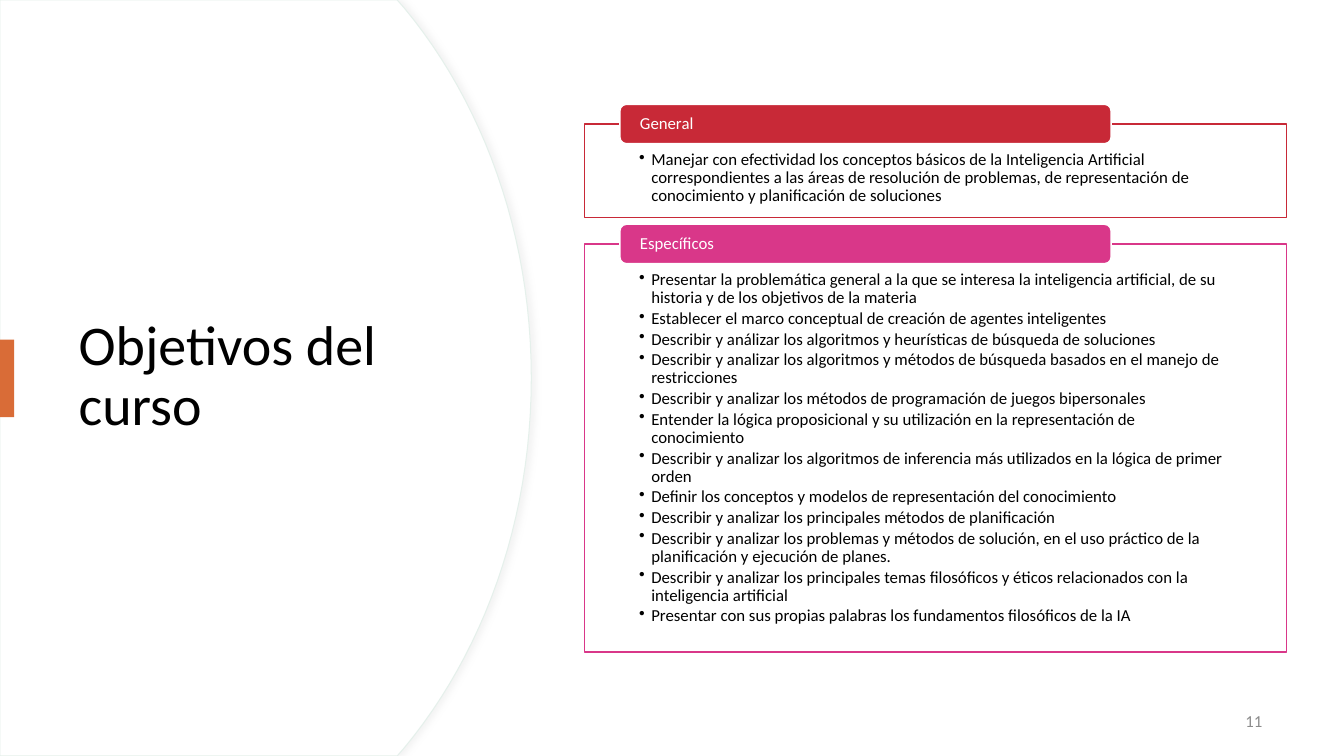
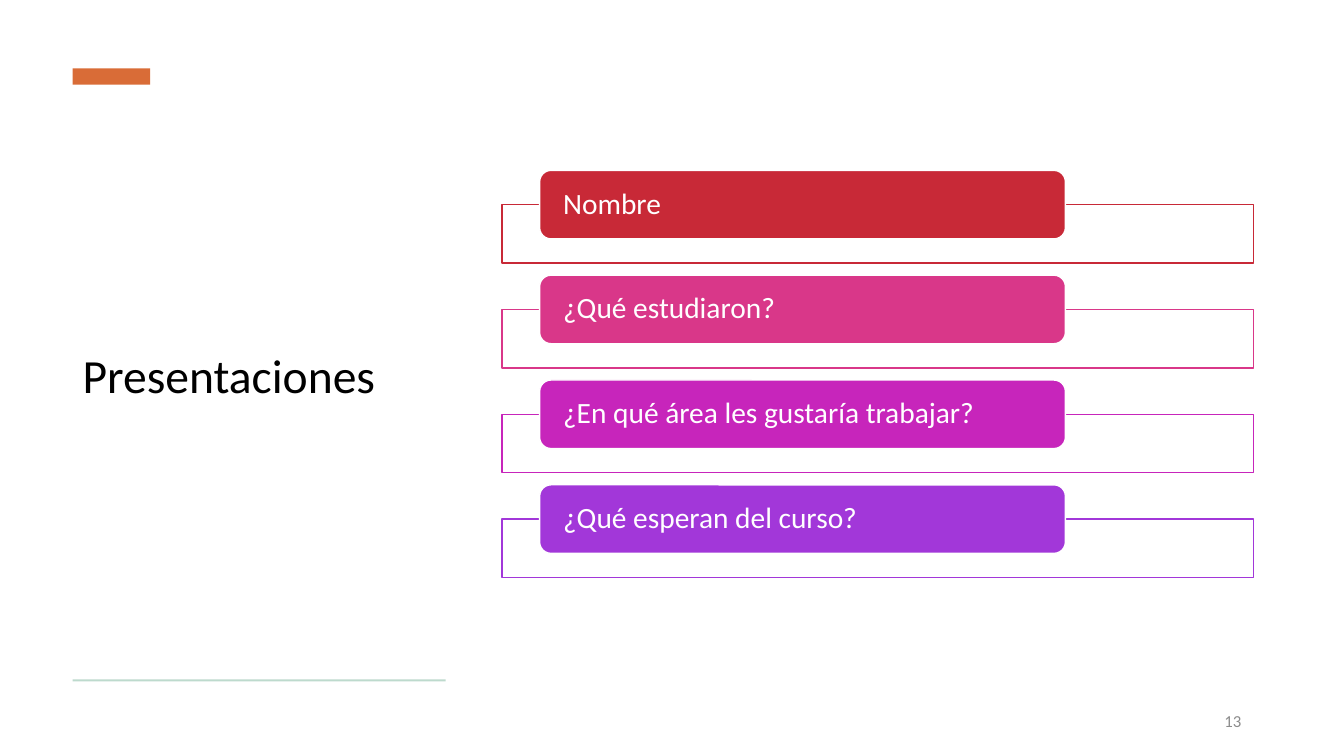
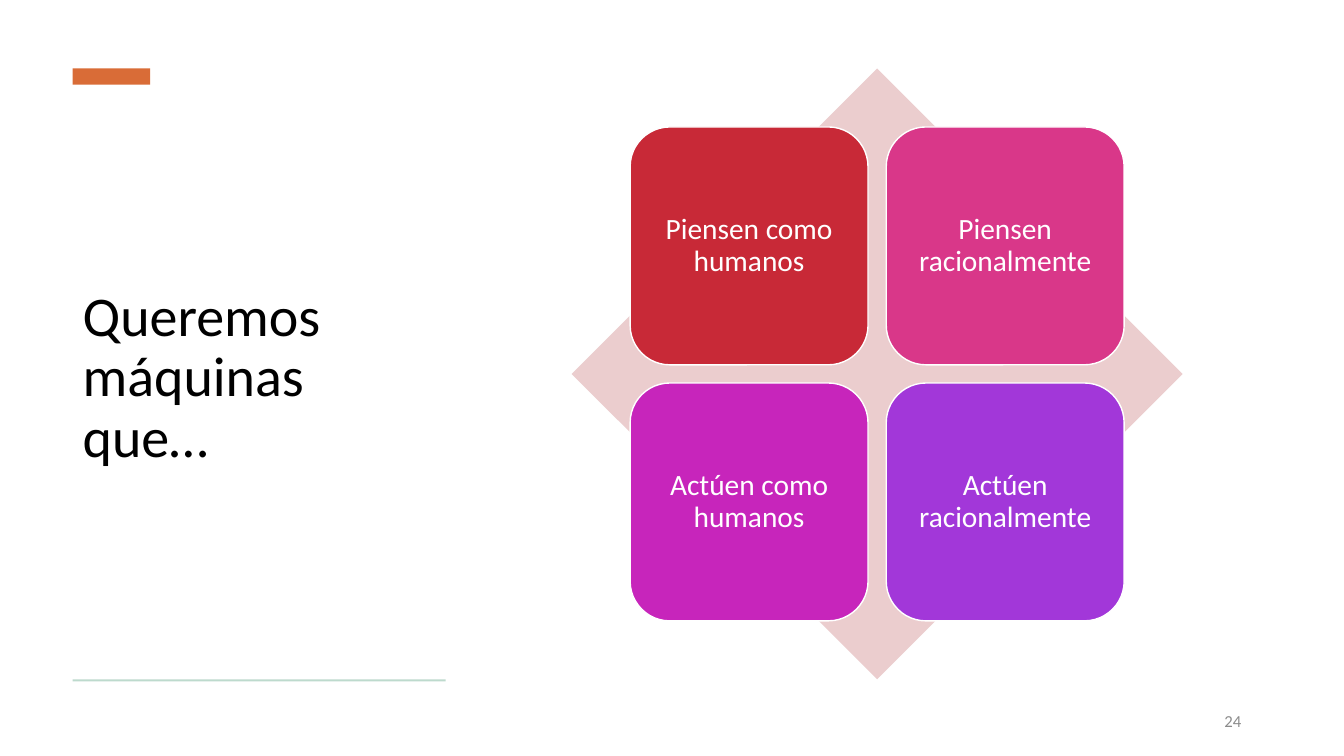
import lxml.etree
import pptx
import pptx.dml.color
import pptx.enum.shapes
import pptx.enum.text
import pptx.oxml.ns
import pptx.util

RGBColor = pptx.dml.color.RGBColor
SHAPE = pptx.enum.shapes.MSO_SHAPE
ALIGN = pptx.enum.text.PP_ALIGN
ANCHOR = pptx.enum.text.MSO_ANCHOR
qn = pptx.oxml.ns.qn

EMU_PER_PX = 9144  # 100 px to the inch
SLIDE_WIDTH, SLIDE_HEIGHT = 1333, 750
FONT = "Calibri"

BLACK = RGBColor(0x00, 0x00, 0x00)
WHITE = RGBColor(0xFF, 0xFF, 0xFF)
GRAY = RGBColor(0x8C, 0x8C, 0x8C)
ORANGE = RGBColor(0xD9, 0x6C, 0x37)
MINT = RGBColor(0xBD, 0xDA, 0xCD)
PALE_MINT = RGBColor(0xE5, 0xF0, 0xEB)
PALE_RED = RGBColor(0xEB, 0xCD, 0xCE)
RED = RGBColor(0xC8, 0x29, 0x37)
PINK = RGBColor(0xD9, 0x37, 0x89)
MAGENTA = RGBColor(0xC7, 0x25, 0xBB)
PURPLE = RGBColor(0xA2, 0x37, 0xD9)
ACCENTS = [RED, PINK, MAGENTA, PURPLE]

GENERAL_GOALS = [
    "Manejar con efectividad los conceptos básicos de la Inteligencia Artificial correspondientes "
    "a las áreas de resolución de problemas, de representación de conocimiento y planificación de soluciones",
]
SPECIFIC_GOALS = [
    "Presentar la problemática general a la que se interesa la inteligencia artificial, "
    "de su historia y de los objetivos de la materia",
    "Establecer el marco conceptual de creación de agentes inteligentes",
    "Describir y análizar los algoritmos y heurísticas de búsqueda de soluciones",
    "Describir y analizar los algoritmos y métodos de búsqueda basados en el manejo de restricciones",
    "Describir y analizar los métodos de programación de juegos bipersonales",
    "Entender la lógica proposicional y su utilización en la representación de conocimiento",
    "Describir y analizar los algoritmos de inferencia más utilizados en la lógica de primer orden",
    "Definir los conceptos y modelos de representación del conocimiento",
    "Describir y analizar los principales métodos de planificación",
    "Describir y analizar los problemas y métodos de solución, "
    "en el uso práctico de la planificación y ejecución de planes.",
    "Describir y analizar los principales temas filosóficos y éticos "
    "relacionados con la inteligencia artificial",
    "Presentar con sus propias palabras los fundamentos filosóficos de la IA",
]
QUESTIONS = ["Nombre", "¿Qué estudiaron?", "¿En qué área les gustaría trabajar?", "¿Qué esperan del curso?"]
APPROACHES = ["Piensen como humanos", "Piensen racionalmente", "Actúen como humanos", "Actúen racionalmente"]


def px(value):
    return pptx.util.Emu(round(value * EMU_PER_PX))


def add_bullet(paragraph, indent):
    properties = paragraph._p.get_or_add_pPr()
    properties.set("marL", str(px(indent)))
    properties.set("indent", str(px(-indent)))
    lxml.etree.SubElement(properties, qn("a:buChar")).set("char", "•")


def write_text(shape, *texts, size=12, color=BLACK, align=ALIGN.LEFT, anchor=ANCHOR.MIDDLE,
               insets=(10, 5, 10, 5), line_spacing=0.9, space_after=0, bullet_indent=0):
    """Fill a shape with one paragraph per text; insets are left, top, right, bottom."""
    frame = shape.text_frame
    frame.word_wrap = True
    frame.auto_size = pptx.enum.text.MSO_AUTO_SIZE.NONE
    frame.vertical_anchor = anchor
    (frame.margin_left, frame.margin_top,
     frame.margin_right, frame.margin_bottom) = [px(inset) for inset in insets]
    for index, text in enumerate(texts):
        paragraph = frame.add_paragraph() if index else frame.paragraphs[0]
        paragraph.alignment = align
        paragraph.line_spacing = line_spacing
        paragraph.space_before = pptx.util.Pt(0)
        paragraph.space_after = pptx.util.Pt(space_after)
        if bullet_indent:
            add_bullet(paragraph, bullet_indent)
        run = paragraph.add_run()
        run.text = text
        run.font.name = FONT
        run.font.size = pptx.util.Pt(size)
        run.font.color.rgb = color


def paint(shape, fill, line=None, line_width=1):
    shape.shadow.inherit = False
    shape.fill.solid()
    shape.fill.fore_color.rgb = fill
    if line is None:
        shape.line.fill.background()
    else:
        shape.line.color.rgb = line
        shape.line.width = pptx.util.Pt(line_width)


def add_box(slide, kind, left, top, width, height, fill, line=None):
    shape = slide.shapes.add_shape(kind, px(left), px(top), px(width), px(height))
    paint(shape, fill, line)
    return shape


def add_slide(presentation, title, number, title_box, title_size, number_box):
    """Start a slide with the shared title and page number."""
    slide = presentation.slides.add_slide(presentation.slide_layouts[5])
    heading = slide.shapes.title
    heading.left, heading.top, heading.width, heading.height = [px(value) for value in title_box]
    write_text(heading, title, size=title_size)
    left, width = number_box
    page = slide.shapes.add_textbox(px(left), px(695), px(width), px(40))
    write_text(page, str(number), color=GRAY, align=ALIGN.RIGHT, line_spacing=1)
    return slide


def add_side_title_slide(presentation, title, number, title_size):
    """Start a slide whose left column has an orange bar above and a thin rule below."""
    left, width = 72, 370
    slide = add_slide(presentation, title, number, (left, 105, width, 541), title_size, (969, 272))
    add_box(slide, SHAPE.RECTANGLE, left, 68, 77, 16, ORANGE)
    add_box(slide, SHAPE.RECTANGLE, left, 674, width, 2, MINT)
    return slide


def add_curved_backdrop(slide):
    """Draw a white area with a bulging right edge behind the title."""
    top_curve = [(401, 8), (479, 102), (527, 232), (527, 375)]
    steps = 24
    edge = [(394, 0)]
    for step in range(steps + 1):
        t = step / steps
        weights = ((1 - t) ** 3, 3 * t * (1 - t) ** 2, 3 * t ** 2 * (1 - t), t ** 3)
        edge.append(tuple(sum(weight * point[axis] for weight, point in zip(weights, top_curve))
                          for axis in (0, 1)))
    lower_edge = [(x, SLIDE_HEIGHT - y) for x, y in reversed(edge[:-1])]
    outline = edge + lower_edge + [(0, SLIDE_HEIGHT)]
    builder = slide.shapes.build_freeform(0, 0)
    builder.add_line_segments([(px(x), px(y)) for x, y in outline], close=True)
    backdrop = builder.convert_to_shape()
    paint(backdrop, WHITE, PALE_MINT, 0.75)
    add_soft_shadow(backdrop)
    slide.shapes.title.element.addprevious(backdrop.element)


def add_soft_shadow(shape):
    effects = shape.element.spPr.find(qn("a:effectLst"))
    shadow = lxml.etree.SubElement(effects, qn("a:outerShdw"), blurRad=str(pptx.util.Pt(4)),
                                   dist=str(pptx.util.Pt(3)), dir="0", algn="l", rotWithShape="0")
    color = lxml.etree.SubElement(shadow, qn("a:srgbClr"), val="D9D9D9")
    lxml.etree.SubElement(color, qn("a:alpha"), val="30000")


def add_labelled_panel(slide, label, color, left, top, width, height,
                       label_height, label_size, label_inset, items=()):
    """Draw an outlined panel with a rounded label straddling its top edge."""
    panel = add_box(slide, SHAPE.RECTANGLE, left, top, width, height, WHITE, color)
    if items:
        write_text(panel, *items, anchor=ANCHOR.TOP, insets=(54, 27, 54, 9),
                   space_after=1.8, bullet_indent=12)
    tab = add_box(slide, SHAPE.ROUNDED_RECTANGLE, left + width * 0.05, top - label_height / 2,
                  width * 0.7, label_height, color, WHITE)
    write_text(tab, label, size=label_size, color=WHITE, insets=(label_inset, 0, label_inset, 0))


def build_goals_slide(presentation):
    slide = add_slide(presentation, "Objetivos del curso", 11, (68, 127, 394, 495), 40, (962, 300))
    add_curved_backdrop(slide)
    add_box(slide, SHAPE.RECTANGLE, 0, 337, 14, 77, ORANGE)
    top, gap = 123, 26
    sections = [("General", 93, GENERAL_GOALS), ("Específicos", 405, SPECIFIC_GOALS)]
    for (label, height, goals), color in zip(sections, ACCENTS):
        add_labelled_panel(slide, label, color, 580, top, 696, height, 39, 12, 18, goals)
        top += height + gap


def build_introductions_slide(presentation):
    slide = add_side_title_slide(presentation, "Presentaciones", 13, 34)
    for row, (question, color) in enumerate(zip(QUESTIONS, ACCENTS)):
        add_labelled_panel(slide, question, color, 498, 203 + 104 * row, 745, 58, 68, 21, 20)


def build_approaches_slide(presentation):
    slide = add_side_title_slide(presentation, "Queremos máquinas que…", 24, 40)
    add_box(slide, SHAPE.DIAMOND, 567, 68, 606, 606, PALE_RED)
    side, pitch = 236, 254
    for index, (approach, color) in enumerate(zip(APPROACHES, ACCENTS)):
        row, column = divmod(index, 2)
        tile = add_box(slide, SHAPE.ROUNDED_RECTANGLE, 625 + pitch * column, 126 + pitch * row,
                       side, side, color, WHITE)
        write_text(tile, approach, size=21, color=WHITE, align=ALIGN.CENTER, insets=(9, 9, 9, 9))


def main():
    presentation = pptx.Presentation()
    presentation.slide_width = px(SLIDE_WIDTH)
    presentation.slide_height = px(SLIDE_HEIGHT)
    build_goals_slide(presentation)
    build_introductions_slide(presentation)
    build_approaches_slide(presentation)
    presentation.save("out.pptx")


if __name__ == "__main__":
    main()
